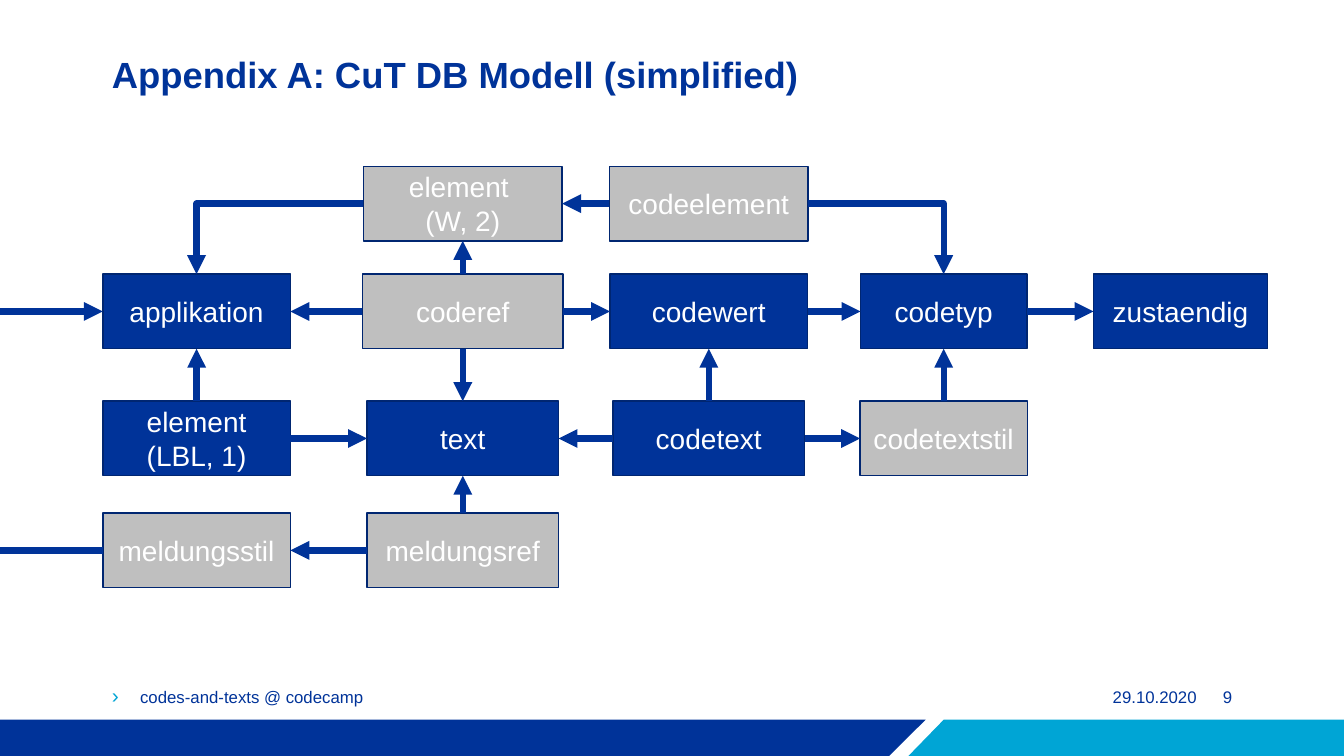
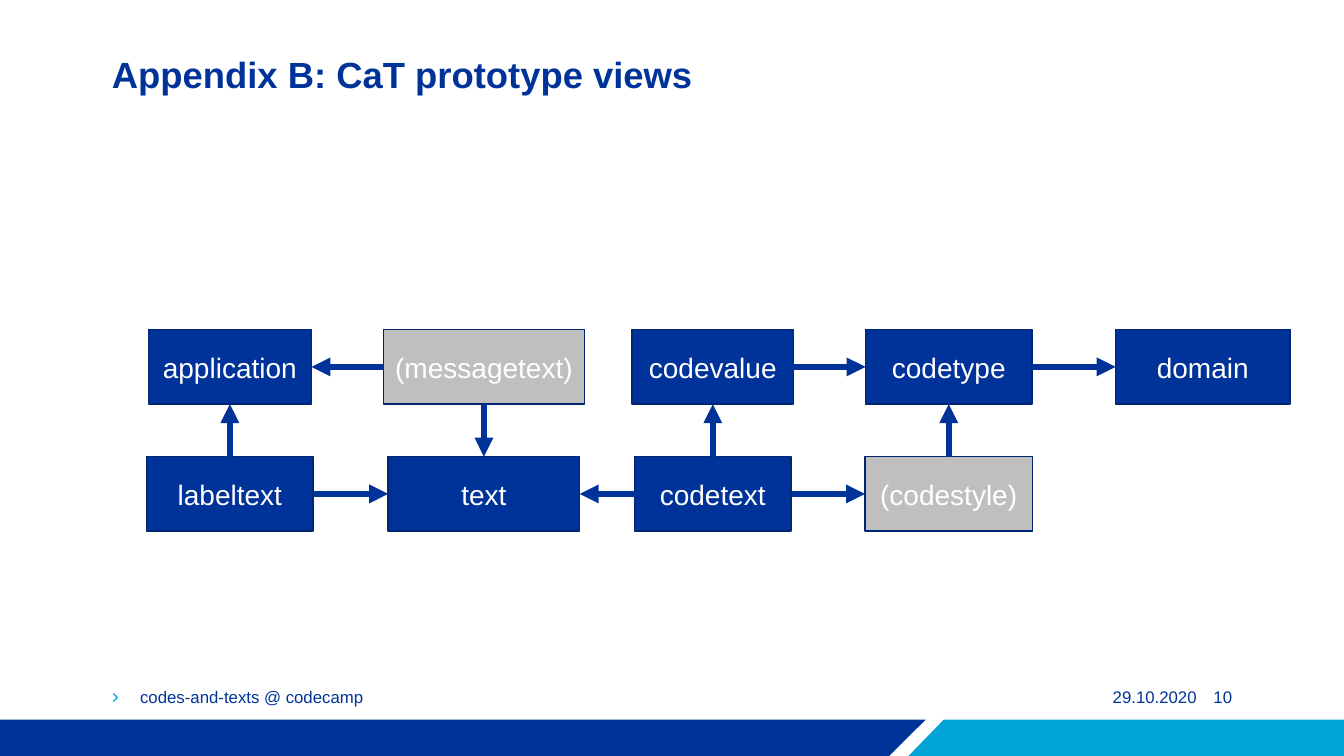
from lxml import etree
from pptx import Presentation
from pptx import util as u
from pptx.dml.color import RGBColor
from pptx.enum import shapes, text
from pptx.oxml.ns import qn

COLORS = {"blue": "003399", "cyan": "00A5D5", "grey": "BFBFBF",
          "edge": "002671", "white": "FFFFFF"}
RGB = {name: RGBColor.from_string(value) for name, value in COLORS.items()}
FONT = "Arial"
BOX_H = 0.74
LEFT, RIGHT, CENTER = text.PP_ALIGN.LEFT, text.PP_ALIGN.RIGHT, text.PP_ALIGN.CENTER
TOP, MIDDLE, BOTTOM = text.MSO_ANCHOR.TOP, text.MSO_ANCHOR.MIDDLE, text.MSO_ANCHOR.BOTTOM
SITE_TOP, SITE_LEFT, SITE_BOTTOM, SITE_RIGHT = range(4)

# Bottom bands: colour and corner points
BANDS = [
    ("cyan", [(9.36, 7.14), (9.01, 7.5), (13.33, 7.5), (13.33, 7.14)]),
    ("blue", [(0, 7.14), (0, 7.5), (8.82, 7.5), (9.18, 7.14)]),
]

# Each box: label -> (column, row, width, fill); each link: (from, to)
SLIDES = [
    {
        "title": "Appendix A: CuT DB Modell (simplified)",
        "number": "9",
        "columns": [1.95, 4.59, 7.03, 9.36, 11.71],
        "rows": [1.65, 2.72, 3.98, 5.09],
        "boxes": {
            "element \n(W, 2)": (1, 0, 1.97, "grey"),
            "codeelement": (2, 0, 1.97, "grey"),
            "applikation": (0, 1, 1.86, "blue"),
            "coderef": (1, 1, 1.99, "grey"),
            "codewert": (2, 1, 1.96, "blue"),
            "codetyp": (3, 1, 1.65, "blue"),
            "zustaendig": (4, 1, 1.73, "blue"),
            "element (LBL, 1)": (0, 2, 1.86, "blue"),
            "text": (1, 2, 1.9, "blue"),
            "codetext": (2, 2, 1.9, "blue"),
            "codetextstil": (3, 2, 1.66, "grey"),
            "meldungsstil": (0, 3, 1.86, "grey"),
            "meldungsref": (1, 3, 1.9, "grey"),
        },
        "links": [
            ("element \n(W, 2)", "applikation"),
            ("codeelement", "element \n(W, 2)"),
            ("codeelement", "codetyp"),
            ("coderef", "element \n(W, 2)"),
            ("coderef", "applikation"),
            ("coderef", "codewert"),
            ("coderef", "text"),
            ("codewert", "codetyp"),
            ("codetyp", "zustaendig"),
            ("element (LBL, 1)", "applikation"),
            ("element (LBL, 1)", "text"),
            ("codetext", "text"),
            ("codetext", "codewert"),
            ("codetext", "codetextstil"),
            ("codetextstil", "codetyp"),
            ("meldungsref", "text"),
            ("meldungsref", "meldungsstil"),
        ],
        "edge_links": [("meldungsstil", False), ("applikation", True)],
    },
    {
        "title": "Appendix B: CaT prototype views",
        "number": "10",
        "columns": [2.28, 4.8, 7.07, 9.41, 11.93],
        "rows": [3.27, 4.53],
        "boxes": {
            "application": (0, 0, 1.62, "blue"),
            "(messagetext)": (1, 0, 1.99, "grey"),
            "codevalue": (2, 0, 1.6, "blue"),
            "codetype": (3, 0, 1.65, "blue"),
            "domain": (4, 0, 1.73, "blue"),
            "labeltext": (0, 1, 1.65, "blue"),
            "text": (1, 1, 1.9, "blue"),
            "codetext": (2, 1, 1.55, "blue"),
            "(codestyle)": (3, 1, 1.66, "grey"),
        },
        "links": [
            ("(messagetext)", "application"),
            ("(messagetext)", "text"),
            ("codevalue", "codetype"),
            ("codetype", "domain"),
            ("labeltext", "application"),
            ("labeltext", "text"),
            ("codetext", "text"),
            ("codetext", "codevalue"),
            ("codetext", "(codestyle)"),
            ("(codestyle)", "codetype"),
        ],
        "edge_links": [],
    },
]


def write(sp, content, size=12, color="blue", bold=False, align=LEFT,
          anchor=BOTTOM, spacing=u.Pt(16), margins=(0, 0, 0, 0.01), bullet=None):
    tf = sp.text_frame
    tf.word_wrap = True
    tf.vertical_anchor = anchor
    tf.margin_left, tf.margin_top, tf.margin_right, tf.margin_bottom = map(u.Inches, margins)
    for i, line in enumerate(content.split("\n")):
        p = tf.paragraphs[0] if i == 0 else tf.add_paragraph()
        p.alignment = align
        p.line_spacing = spacing
        r = p.add_run()
        r.text = line
        r.font.name, r.font.size, r.font.bold = FONT, u.Pt(size), bold
        r.font.color.rgb = RGB[color]
        if bullet:
            pPr = p._p.get_or_add_pPr()
            pPr.set("marL", str(u.Inches(0.28)))
            pPr.set("indent", str(-u.Inches(0.28)))
            clr = etree.SubElement(pPr, qn("a:buClr"))
            etree.SubElement(clr, qn("a:srgbClr"), val=COLORS["cyan"])
            etree.SubElement(pPr, qn("a:buSzPct"), val="125000")
            etree.SubElement(pPr, qn("a:buFont"), typeface=FONT)
            etree.SubElement(pPr, qn("a:buChar"), char=bullet)


def style_line(cxn, arrow=True):
    cxn.line.color.rgb = RGB["blue"]
    cxn.line.width = u.Pt(4.5)
    spPr = cxn._element.spPr
    if arrow:
        etree.SubElement(spPr.find(qn("a:ln")), qn("a:tailEnd"), type="triangle")
    etree.SubElement(spPr, qn("a:effectLst"))


prs = Presentation()
prs.slide_width, prs.slide_height = u.Inches(13.33), u.Inches(7.5)

for page in SLIDES:
    s = prs.slides.add_slide(prs.slide_layouts[6])

    # Bottom bands
    for color, corners in BANDS:
        points = [(u.Inches(x), u.Inches(y)) for x, y in corners]
        builder = s.shapes.build_freeform(*points[0])
        builder.add_line_segments(points[1:], close=True)
        band = builder.convert_to_shape()
        band.shadow.inherit = False
        band.fill.solid()
        band.fill.fore_color.rgb = RGB[color]
        band.line.fill.background()

    # Title and footer
    for content, x, y, w, h, fmt in [
        (page["title"], 1.11, 0.48, 11.1, 0.97,
         {"size": 26, "bold": True, "anchor": TOP, "spacing": 1.08, "margins": (0, 0, 0, 0)}),
        ("codes-and-texts @ codecamp", 1.11, 6.78, 7.32, 0.24, {"bullet": "›"}),
        ("29.10.2020", 8.68, 6.78, 3.19, 0.24, {"align": RIGHT}),
        (page["number"], 11.87, 6.78, 0.35, 0.24, {"align": RIGHT}),
    ]:
        sp = s.shapes.add_textbox(u.Inches(x), u.Inches(y), u.Inches(w), u.Inches(h))
        write(sp, content, **fmt)

    # Boxes, centred on their columns; single spacing lets two lines fit
    boxes = {}
    for label, (col, row, w, fill) in page["boxes"].items():
        sp = s.shapes.add_shape(
            shapes.MSO_SHAPE.RECTANGLE, u.Inches(page["columns"][col] - w / 2),
            u.Inches(page["rows"][row]), u.Inches(w), u.Inches(BOX_H))
        sp.shadow.inherit = False
        sp.fill.solid()
        sp.fill.fore_color.rgb = RGB[fill]
        sp.line.color.rgb = RGB["edge"]
        sp.line.width = u.Pt(1)
        write(sp, label, size=20, color="white", align=CENTER, anchor=MIDDLE,
              spacing=1.0, margins=(0.1, 0, 0.1, 0))
        boxes[label] = sp

    # Arrows: straight along a row or column, otherwise one bend
    for source, target in page["links"]:
        col_a, row_a = page["boxes"][source][:2]
        col_b, row_b = page["boxes"][target][:2]
        bent = col_a != col_b and row_a != row_b
        start, end = (SITE_RIGHT, SITE_LEFT) if col_b > col_a else (SITE_LEFT, SITE_RIGHT)
        if col_a == col_b:
            start, end = (SITE_BOTTOM, SITE_TOP) if row_b > row_a else (SITE_TOP, SITE_BOTTOM)
        elif bent:
            end = SITE_TOP
        kind = shapes.MSO_CONNECTOR.ELBOW if bent else shapes.MSO_CONNECTOR.STRAIGHT
        cxn = s.shapes.add_connector(kind, 0, 0, 0, 0)
        cxn.begin_connect(boxes[source], start)
        cxn.end_connect(boxes[target], end)
        if bent:
            cxn._element.spPr.find(qn("a:prstGeom")).set("prst", "bentConnector2")
        style_line(cxn)

    # Lines that run to the left slide edge
    for label, arrow in page["edge_links"]:
        box = boxes[label]
        y = box.top + box.height // 2
        cxn = s.shapes.add_connector(shapes.MSO_CONNECTOR.STRAIGHT, 0, y, box.left, y)
        cxn.end_connect(box, SITE_LEFT)
        style_line(cxn, arrow)

prs.save("out.pptx")
